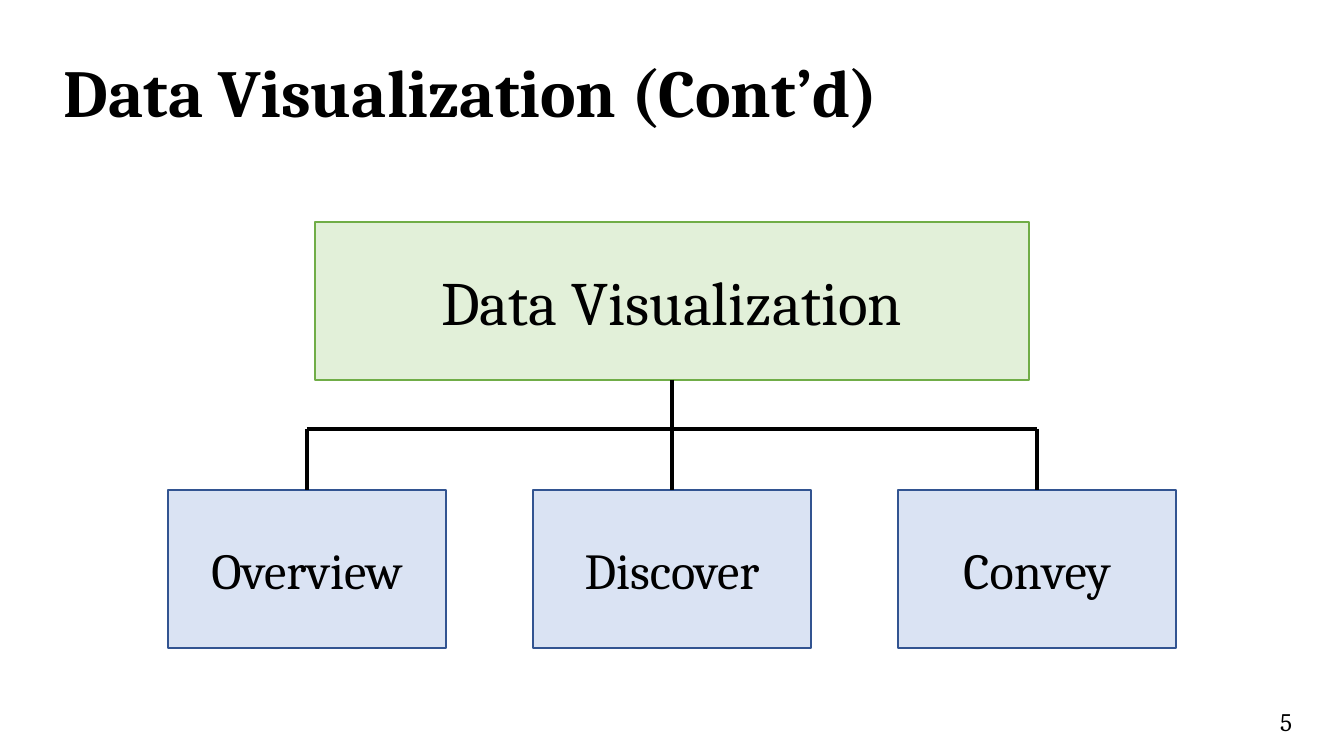
from lxml import etree
from pptx import Presentation
from pptx import util as u
from pptx.dml.color import RGBColor
from pptx.enum import shapes, text
from pptx.oxml.ns import qn

TITLE = "Data Visualization (Cont’d)"
PAGE_NUMBER = "5"
ROOT = "Data Visualization"
BRANCHES = ["Overview", "Discover", "Convey"]

FONT = "Cambria"
COLORS = {
    "text": "000000",
    "root fill": "E2F0D9",
    "root line": "70AD47",
    "branch fill": "DAE3F3",
    "branch line": "325491",
    "connector": "000000",
}

# Lengths in px
PX = 914400 / 100.8
SLIDE_WIDTH, SLIDE_HEIGHT = 1344, 756
CENTER = SLIDE_WIDTH // 2
BOX_HEIGHT = 158
ROOT_TOP, ROOT_WIDTH = 222, 714
BRANCH_TOP, BRANCH_WIDTH, BRANCH_PITCH = 490, 278, 365
BUS_Y = 429

BOTTOM_SIDE, TOP_SIDE = 2, 0


def px(length):
    return u.Emu(round(length * PX))


def color(name):
    return RGBColor.from_string(COLORS[name])


def write(shape, words, size, align, bold=False):
    frame = shape.text_frame
    frame.word_wrap = True
    frame.vertical_anchor = text.MSO_ANCHOR.MIDDLE
    paragraph = frame.paragraphs[0]
    paragraph.text = words
    paragraph.alignment = align
    paragraph.font.name = FONT
    paragraph.font.size = u.Pt(size)
    paragraph.font.bold = bold
    paragraph.font.color.rgb = color("text")
    return paragraph


def add_label(slide, bounds, words, size, align, bold=False):
    box = slide.shapes.add_textbox(*map(px, bounds))
    return write(box, words, size, align, bold)


def add_box(slide, center, top, width, words, size, role, line_width):
    """Add a filled rectangle centred horizontally on the given x."""
    box = slide.shapes.add_shape(
        shapes.MSO_SHAPE.RECTANGLE,
        px(center - width / 2), px(top), px(width), px(BOX_HEIGHT))
    box.shadow.inherit = False
    box.fill.solid()
    box.fill.fore_color.rgb = color(f"{role} fill")
    box.line.color.rgb = color(f"{role} line")
    box.line.width = u.Pt(line_width)
    write(box, words, size, text.PP_ALIGN.CENTER)
    return box


def add_line(slide, start, end):
    line = slide.shapes.add_connector(
        shapes.MSO_CONNECTOR.STRAIGHT, *map(px, start + end))
    line.line.color.rgb = color("connector")
    line.line.width = u.Pt(2.25)
    etree.SubElement(line._element.spPr, qn("a:effectLst"))
    return line


def main():
    presentation = Presentation()
    presentation.slide_width = px(SLIDE_WIDTH)
    presentation.slide_height = px(SLIDE_HEIGHT)
    slide = presentation.slides.add_slide(presentation.slide_layouts[6])

    title = add_label(slide, (54, 40, 1236, 111), TITLE, 48,
                      text.PP_ALIGN.LEFT, bold=True)
    title.line_spacing = 0.9
    add_label(slide, (1000, 701, 302, 40), PAGE_NUMBER, 18,
              text.PP_ALIGN.RIGHT)

    middle = len(BRANCHES) // 2
    centers = [CENTER + (i - middle) * BRANCH_PITCH
               for i in range(len(BRANCHES))]
    branches = [add_box(slide, center, BRANCH_TOP, BRANCH_WIDTH, words, 36,
                        "branch", 2)
                for center, words in zip(centers, BRANCHES)]
    root = add_box(slide, CENTER, ROOT_TOP, ROOT_WIDTH, ROOT, 44,
                   "root", 1.75)

    add_line(slide, (centers[0], BUS_Y), (centers[-1], BUS_Y))
    for i, (center, branch) in enumerate(zip(centers, branches)):
        start_y = ROOT_TOP + BOX_HEIGHT if i == middle else BUS_Y
        drop = add_line(slide, (center, start_y), (center, BRANCH_TOP))
        if i == middle:
            drop.begin_connect(root, BOTTOM_SIDE)
        drop.end_connect(branch, TOP_SIDE)

    presentation.save("out.pptx")


if __name__ == "__main__":
    main()
